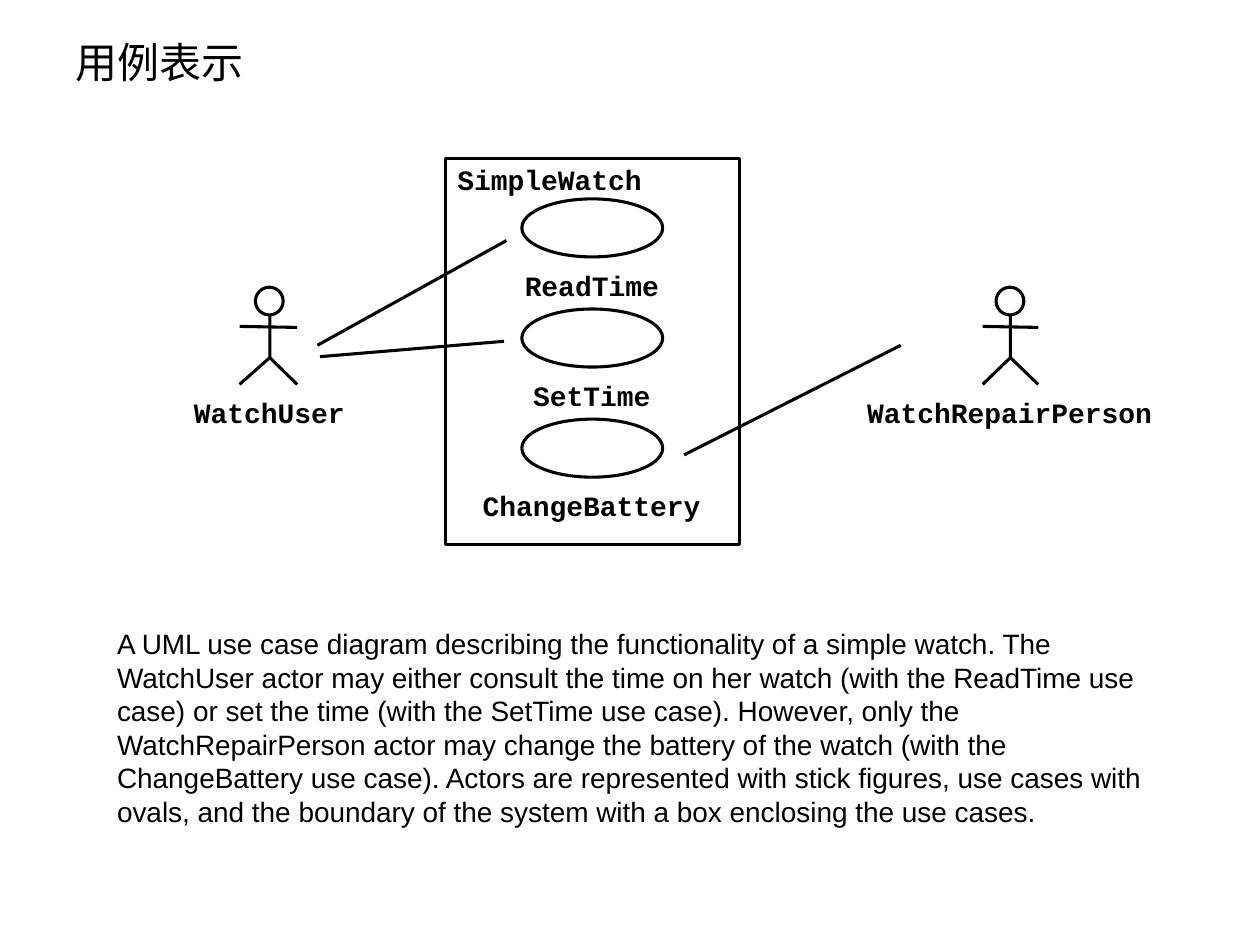
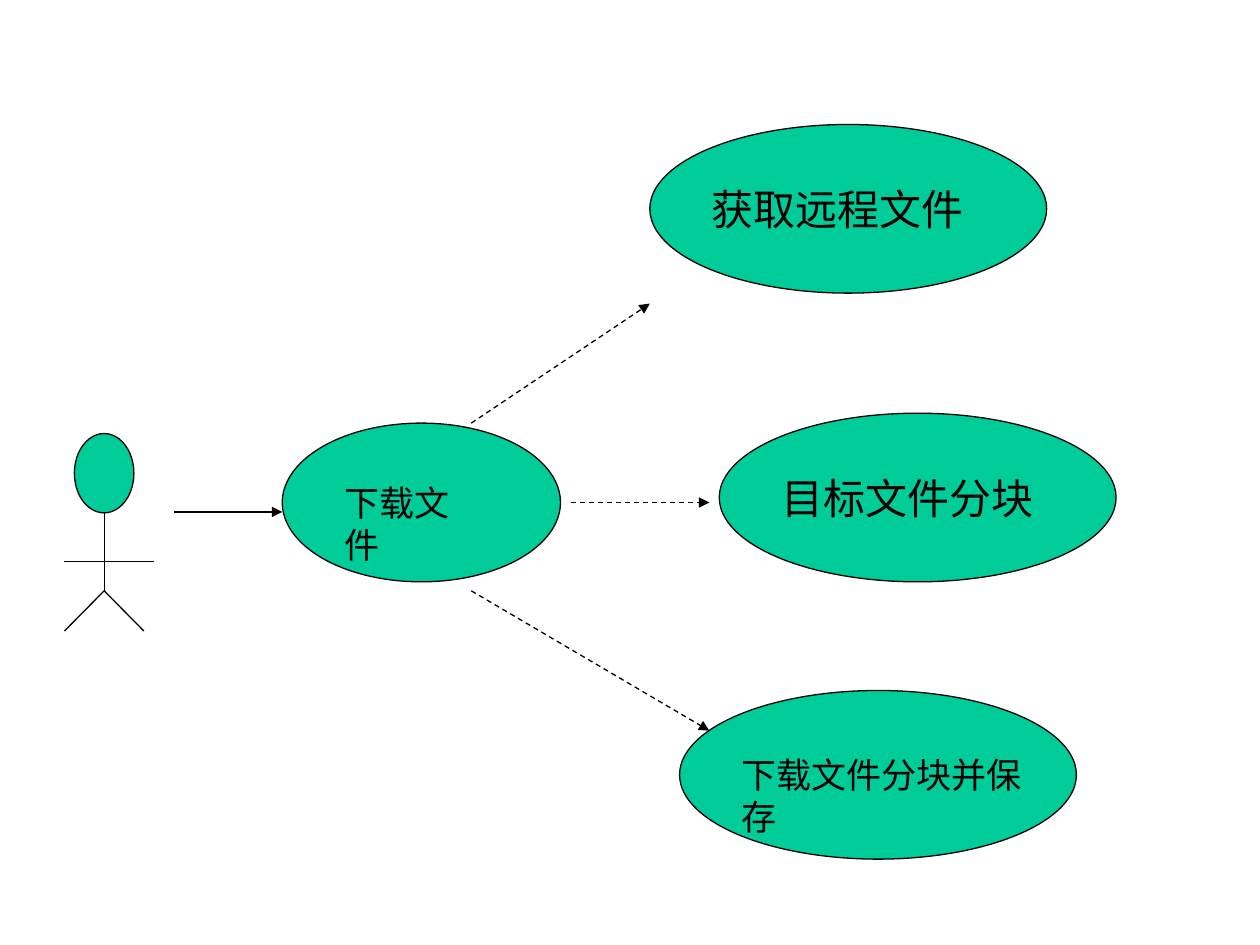
"""Builds two use case slides: a simple watch and a file download."""
import lxml.etree
import pptx
import pptx.dml.color
import pptx.enum.dml
import pptx.enum.shapes
import pptx.enum.text
import pptx.oxml.ns
import pptx.util

Cm = pptx.util.Cm
Pt = pptx.util.Pt
SHAPE = pptx.enum.shapes.MSO_SHAPE
ALIGN = pptx.enum.text.PP_ALIGN

BLACK = pptx.dml.color.RGBColor(0x00, 0x00, 0x00)
WHITE = pptx.dml.color.RGBColor(0xFF, 0xFF, 0xFF)
GREEN = pptx.dml.color.RGBColor(0x00, 0xCC, 0x99)
SERIF, SANS, MONO = "Times New Roman", "Arial", "Courier New"
THICK, THIN = 1.75, 0.75
TITLE_LAYOUT, BLANK_LAYOUT = 5, 6

TITLE = "用例表示"
DESCRIPTION = (
    "A UML use case diagram describing the functionality of a simple watch. "
    "The WatchUser actor may either consult the time on her watch (with the "
    "ReadTime use case) or set the time (with the SetTime use case). However, "
    "only the WatchRepairPerson actor may change the battery of the watch "
    "(with the ChangeBattery use case). Actors are represented with stick "
    "figures, use cases with ovals, and the boundary of the system with a box "
    "enclosing the use cases."
)
SYSTEM_NAME = "SimpleWatch"
SYSTEM_BOX = (8.99, 3.2, 5.92, 7.77)
WATCH_CASES = ["ReadTime", "SetTime", "ChangeBattery"]
WATCH_OVAL = (10.52, 4.01, 2.84, 1.17)
CASE_PITCH = 2.22
CASE_LABEL_DROP = 1.4
LETTER_WIDTH, LABEL_HEIGHT = 0.34, 0.69
WATCH_ACTORS = [
    {"name": "WatchUser", "neck": 5.44, "left": 4.83, "right": 5.99},
    {"name": "WatchRepairPerson", "neck": 20.37, "left": 19.81, "right": 20.93},
]
WATCH_LINKS = [
    ((6.4, 6.96), (10.21, 4.85)),
    ((6.45, 7.19), (10.16, 6.88)),
    ((13.79, 9.17), (18.16, 6.96)),
]

BIG_OVAL, SMALL_OVAL = (8.0, 3.4), (5.61, 3.2)
DOWNLOAD_CASES = [
    {"name": "下载文件", "at": (5.69, 8.53), "oval": SMALL_OVAL, "size": 20},
    {"name": "获取远程文件", "at": (13.1, 2.51), "oval": BIG_OVAL, "size": 24},
    {"name": "目标文件分块", "at": (14.5, 8.33), "oval": BIG_OVAL, "size": 24},
    {"name": "下载文件分块并保存", "at": (13.7, 13.92), "oval": BIG_OVAL, "size": 20},
]
CASE_TEXT_INDENT = 1.0
INCLUDES = [
    ((9.5, 8.53), (13.1, 6.12)),
    ((11.51, 10.13), (14.3, 10.13)),
    ((9.5, 11.91), (14.3, 14.73)),
]
REQUEST = ((3.5, 10.32), (5.69, 10.32))


def write(frame, text, size=16, font=SERIF, bold=False, align=ALIGN.LEFT,
          inset=(0.25, 0.13), wrap=True):
    frame.margin_left = frame.margin_right = Cm(inset[0])
    frame.margin_top = frame.margin_bottom = Cm(inset[1])
    frame.word_wrap = wrap
    frame.auto_size = pptx.enum.text.MSO_AUTO_SIZE.SHAPE_TO_FIT_TEXT
    frame.vertical_anchor = pptx.enum.text.MSO_ANCHOR.TOP
    para = frame.paragraphs[0]
    para.alignment = align
    span = para.add_run()
    span.text = text
    span.font.size = Pt(size)
    span.font.name = font
    span.font.bold = bold
    span.font.color.rgb = BLACK


def add_text(page, area, text, **style):
    box = page.shapes.add_textbox(*map(Cm, area))
    write(box.text_frame, text, **style)


def add_label(page, text, left, top):
    area = (left, top, LETTER_WIDTH * len(text), LABEL_HEIGHT)
    add_text(page, area, text, font=MONO, bold=True, inset=(0, 0), wrap=False)


def add_centred_label(page, text, centre, top):
    add_label(page, text, centre - LETTER_WIDTH * len(text) / 2, top)


def paint(shape, weight, fill=None):
    shape.shadow.inherit = False
    if fill is None:
        shape.fill.background()
    else:
        shape.fill.solid()
        shape.fill.fore_color.rgb = fill
    shape.line.color.rgb = BLACK
    shape.line.width = Pt(weight)


def add_outline(page, kind, area, weight, fill=None):
    paint(page.shapes.add_shape(kind, *map(Cm, area)), weight, fill)


def add_line(page, start, end, weight, dashed=False, arrow=False):
    link = page.shapes.add_connector(
        pptx.enum.shapes.MSO_CONNECTOR.STRAIGHT, *map(Cm, (*start, *end)))
    link.line.color.rgb = BLACK
    link.line.width = Pt(weight)
    if dashed:
        link.line.dash_style = pptx.enum.dml.MSO_LINE.DASH
    properties = link._element.spPr
    qn = pptx.oxml.ns.qn
    if arrow:
        outline = properties.find(qn("a:ln"))
        lxml.etree.SubElement(outline, qn("a:tailEnd"), type="triangle")
    lxml.etree.SubElement(properties, qn("a:effectLst"))


def add_bent_line(page, points, weight):
    corners = [(Cm(x), Cm(y)) for x, y in points]
    builder = page.shapes.build_freeform(*corners[0], scale=1.0)
    builder.add_line_segments(corners[1:], close=False)
    paint(builder.convert_to_shape(), weight)


def add_actor(page, head, neck, hip, arms, feet, weight, fill, joined):
    left_foot, right_foot = feet
    if joined:
        add_bent_line(page, [neck, hip, left_foot], weight)
    else:
        add_line(page, neck, hip, weight)
        add_line(page, hip, left_foot, weight)
    add_line(page, hip, right_foot, weight)
    add_line(page, *arms, weight)
    add_outline(page, SHAPE.OVAL, head, weight, fill)


def build_watch(deck):
    page = deck.slides.add_slide(deck.slide_layouts[TITLE_LAYOUT])
    title = page.shapes.title
    title.left, title.top, title.width, title.height = map(
        Cm, (1.27, 0.61, 5.51, 1.28))
    write(title.text_frame, TITLE, size=24)

    for actor in WATCH_ACTORS:
        neck, left, right = actor["neck"], actor["left"], actor["right"]
        add_actor(page, head=(neck - 0.29, 5.79, 0.56, 0.56),
                  neck=(neck, 6.22), hip=(neck, 7.21),
                  arms=((left, 6.58), (right, 6.6)),
                  feet=((left, 7.75), (right, 7.75)),
                  weight=THICK, fill=WHITE, joined=True)
        add_centred_label(page, actor["name"], neck, 7.98)

    add_outline(page, SHAPE.RECTANGLE, SYSTEM_BOX, THICK)
    add_label(page, SYSTEM_NAME, 9.22, 3.28)
    left, first_top, width, height = WATCH_OVAL
    for index, name in enumerate(WATCH_CASES):
        top = first_top + CASE_PITCH * index
        add_outline(page, SHAPE.OVAL, (left, top, width, height), THICK)
        add_centred_label(page, name, left + width / 2, top + CASE_LABEL_DROP)
    for start, end in WATCH_LINKS:
        add_line(page, start, end, THICK)
    add_text(page, (2.11, 12.5, 21.39, 4.32), DESCRIPTION, font=SANS)


def build_download(deck):
    page = deck.slides.add_slide(deck.slide_layouts[BLANK_LAYOUT])
    add_actor(page, head=(1.5, 8.74, 1.2, 1.6),
              neck=(2.1, 10.32), hip=(2.1, 11.91),
              arms=((1.3, 11.32), (3.1, 11.32)),
              feet=((1.3, 12.72), (2.9, 12.72)),
              weight=THIN, fill=GREEN, joined=False)
    for case in DOWNLOAD_CASES:
        (left, top), (width, height) = case["at"], case["oval"]
        name, size = case["name"], case["size"]
        add_outline(page, SHAPE.OVAL, (left, top, width, height), THIN, GREEN)
        text_width = len(name) * Pt(size).cm + 0.5
        text_height = 1.2 * Pt(size).cm + 0.26
        text_top = top + (height - text_height) / 2
        add_text(page, (left + CASE_TEXT_INDENT, text_top, text_width, text_height),
                 name, size=size, wrap=False)
    add_line(page, *REQUEST, THIN, arrow=True)
    for start, end in INCLUDES:
        add_line(page, start, end, THIN, dashed=True, arrow=True)


def main():
    deck = pptx.Presentation()
    deck.slide_width, deck.slide_height = Cm(25.4), Cm(19.05)
    build_watch(deck)
    build_download(deck)
    deck.save("out.pptx")


if __name__ == "__main__":
    main()
